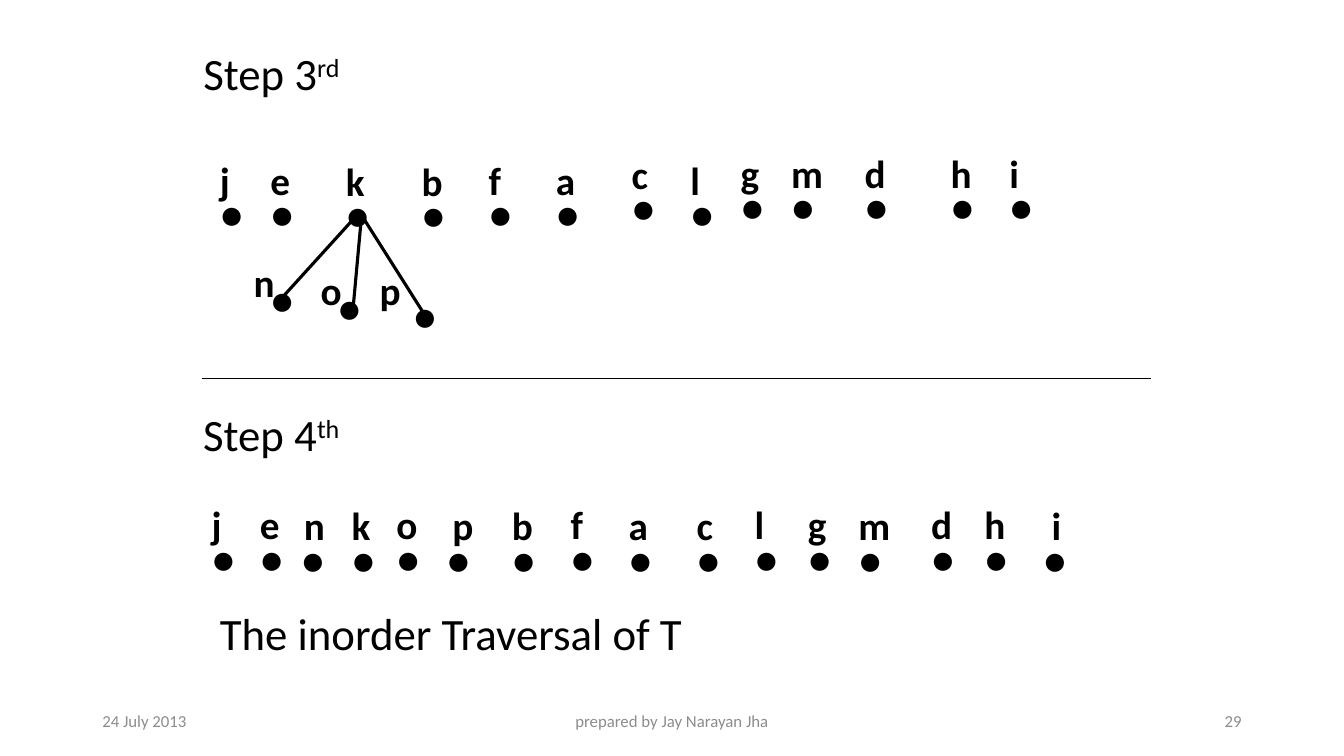
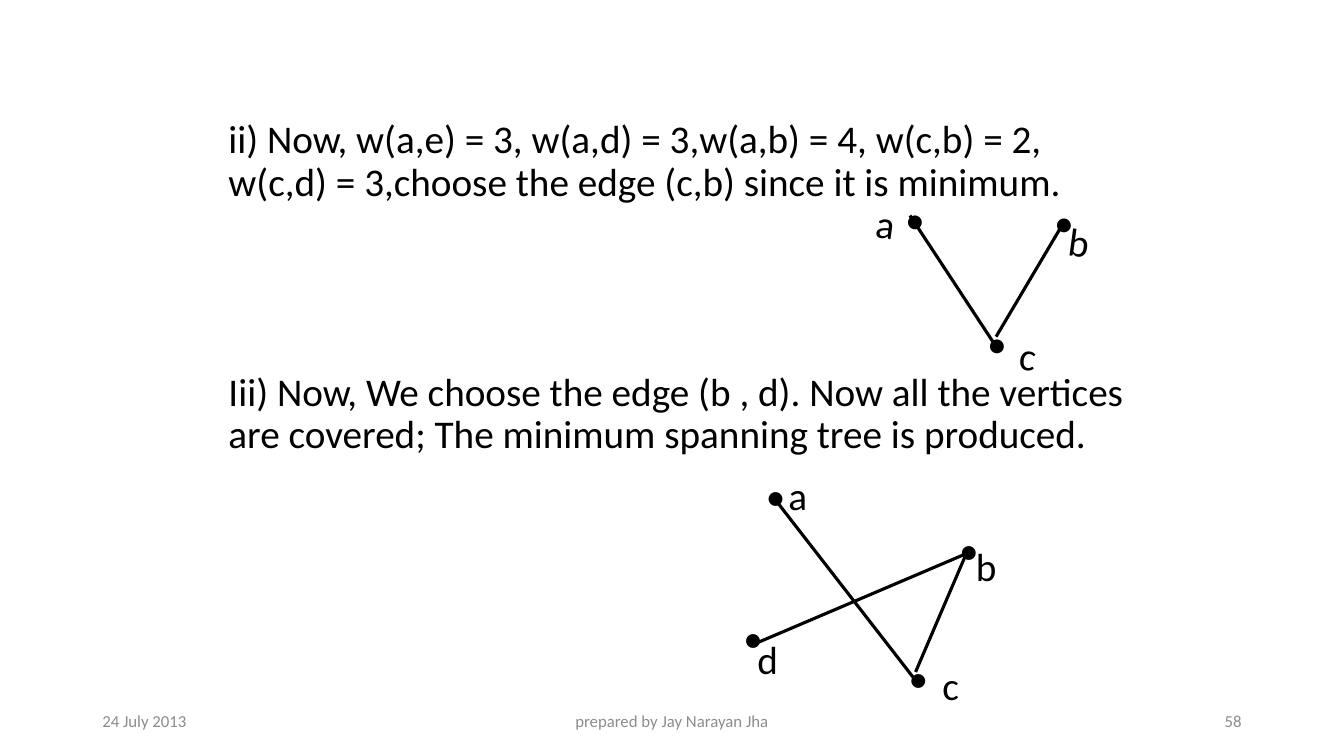
from lxml import etree
from pptx import Presentation
from pptx.dml.color import RGBColor
from pptx.enum.shapes import MSO_CONNECTOR
from pptx.enum.text import MSO_ANCHOR, MSO_AUTO_SIZE, PP_ALIGN
from pptx.oxml.ns import qn
from pptx.util import Pt

STRAIGHT = MSO_CONNECTOR.STRAIGHT
TOP, MIDDLE = MSO_ANCHOR.TOP, MSO_ANCHOR.MIDDLE
LEFT, CENTER, RIGHT = PP_ALIGN.LEFT, PP_ALIGN.CENTER, PP_ALIGN.RIGHT

BLACK = RGBColor(0x00, 0x00, 0x00)
GREY = RGBColor(0x8C, 0x8C, 0x8C)
FONT = "Calibri"
HEADING_SIZE, TEXT_SIZE, FOOTER_SIZE = 32, 28, 12
TITLE_ONLY = 5

FOOTER_TOP, FOOTER_HEIGHT = 500.5, 29
MARK_HEIGHT = 41
DOT_DROP = 24  # from the top of a letter to the top of its dot

# Rows: letter, letter x, dot x, y
STEP_3_ROW = [
    ("j", 6, 6, 5), ("e", 42, 42, 5), ("k", 96, 96, 5.5), ("b", 150, 150, 5.5),
    ("f", 198, 198, 5), ("a", 246, 246, 5), ("c", 300, 300, 0.5),
    ("l", 342, 342, 5), ("g", 378, 378, 0), ("m", 414, 414, 0),
    ("d", 466.5, 466.5, 0), ("h", 528, 528, 0), ("i", 570, 570, 0),
]
STEP_4_ROW = [
    ("j", 0, 0, 0), ("e", 34.5, 34.5, 0), ("n", 66, 64, 0.5),
    ("k", 100, 100, 0.5), ("o", 132, 132, 0), ("p", 172, 168, 0.5),
    ("b", 214.5, 214.5, 0.5), ("f", 256.5, 256.5, 0), ("a", 298, 298, 0.5),
    ("c", 346.5, 346.5, 0.5), ("l", 388, 388, 0), ("g", 426, 426, 0),
    ("m", 462, 462, 0.5), ("d", 514, 514, 0), ("h", 552, 552, 0),
    ("i", 600, 594, 0.5),
]

# Graphs: letter, letter x and y, dot x and y; then edges as x1, y1, x2, y2
K_CHILDREN = [
    ("n", 30, 78, 42, 90), ("o", 78, 83.5, 90, 95.5), ("p", 120, 83.5, 144, 101.5),
]
K_EDGES = [(108, 54, 54, 113.5), (114, 54, 108, 119.5), (116, 53.5, 157.5, 119)]
PATH_VERTICES = [
    ("a", 0, 3.5, 21, 0), ("b", 137.5, 16, 127.5, 2), ("c", 102.5, 97.5, 79.5, 88),
]
PATH_EDGES = [(31, 18, 91.5, 110), (139, 26, 92.5, 104.5)]
TREE_VERTICES = [
    ("a", 32, 0, 16, 0), ("b", 166, 50.5, 154, 39),
    ("c", 142, 135.5, 118, 130), ("d", 10, 117.5, 0, 101.5),
]
TREE_EDGES = [(31, 25.5, 130, 153), (166, 63, 130, 147), (16, 126.5, 172, 60)]


def style(para, size, color=BLACK, bold=False, align=LEFT):
    para.alignment = align
    para.font.name = FONT
    para.font.size = Pt(size)
    para.font.bold = bold
    para.font.color.rgb = color


def add_text(slide, left, top, width, height, text, size, color=BLACK,
             bold=False, align=LEFT, anchor=TOP):
    box = slide.shapes.add_textbox(Pt(left), Pt(top), Pt(width), Pt(height))
    frame = box.text_frame
    frame.word_wrap = True
    frame.vertical_anchor = anchor
    frame.text = text
    style(frame.paragraphs[0], size, color, bold, align)
    return box


def add_line(slide, x1, y1, x2, y2, weight):
    line = slide.shapes.add_connector(STRAIGHT, Pt(x1), Pt(y1), Pt(x2), Pt(y2))
    line.line.color.rgb = BLACK
    line.line.width = Pt(weight)
    etree.SubElement(line._element.spPr, qn("a:effectLst"))


def add_graph(slide, left, top, vertices, edges=(), dot="•", width=30,
              bold=False, rotation=0):
    for x1, y1, x2, y2 in edges:
        add_line(slide, left + x1, top + y1, left + x2, top + y2, 2.25)
    for letter, letter_x, letter_y, dot_x, dot_y in vertices:
        for text, x, y, heavy in ((dot, dot_x, dot_y, False),
                                  (letter, letter_x, letter_y, bold)):
            mark = add_text(slide, left + x, top + y, width, MARK_HEIGHT,
                            text, TEXT_SIZE, bold=heavy)
            mark.rotation = rotation


def add_bold_graph(slide, left, top, vertices, edges=()):
    add_graph(slide, left, top, vertices, edges, dot="●", width=40, bold=True)


def add_row(slide, left, top, row):
    """Place letters in a line, each with a dot below it."""
    vertices = [(letter, letter_x, y, dot_x, y + DOT_DROP)
                for letter, letter_x, dot_x, y in row]
    add_bold_graph(slide, left, top, vertices)


def place_title(slide, left, top, width, height, anchor):
    title = slide.shapes.title
    title.left, title.top = Pt(left), Pt(top)
    title.width, title.height = Pt(width), Pt(height)
    frame = title.text_frame
    frame.word_wrap = True
    frame.auto_size = MSO_AUTO_SIZE.NONE
    frame.vertical_anchor = anchor
    return frame


def write_step(para, number, ending):
    """Write a step heading with its ordinal ending raised."""
    para.add_run().text = f"Step {number}"
    span = para.add_run()
    span.text = ending
    span._r.get_or_add_rPr().set("baseline", "30000")
    style(para, HEADING_SIZE)


def add_footer(slide, number):
    for left, width, text, align in (
        (66, 216, "24 July 2013", LEFT),
        (318, 324, "prepared by Jay Narayan Jha", CENTER),
        (678, 216, str(number), RIGHT),
    ):
        add_text(slide, left, FOOTER_TOP, width, FOOTER_HEIGHT, text,
                 FOOTER_SIZE, GREY, align=align, anchor=MIDDLE)


def new_slide(deck, number):
    slide = deck.slides.add_slide(deck.slide_layouts[TITLE_ONLY])
    add_footer(slide, number)
    return slide


def build_traversal_slide(deck):
    slide = new_slide(deck, 29)
    heading = place_title(slide, 138, 24, 240, 56, MIDDLE)
    write_step(heading.paragraphs[0], 3, "rd")
    add_row(slide, 144, 103, STEP_3_ROW)
    add_bold_graph(slide, 144, 103, K_CHILDREN, K_EDGES)

    add_line(slide, 144, 270, 822, 270, 0.5)

    heading = add_text(slide, 138, 282, 240, 56, "", HEADING_SIZE, anchor=MIDDLE)
    write_step(heading.text_frame.paragraphs[0], 4, "th")
    add_row(slide, 144, 354, STEP_4_ROW)
    add_text(slide, 150, 423.5, 360, 56, "The inorder Traversal of T",
             HEADING_SIZE, anchor=MIDDLE)


def build_spanning_tree_slide(deck):
    slide = new_slide(deck, 58)
    frame = place_title(slide, 156, 82, 660, 260, TOP)
    frame.text = (
        "ii) Now, w(a,e) = 3, w(a,d) = 3,w(a,b) = 4, w(c,b) = 2,\v"
        "w(c,d) = 3,choose the edge (c,b) since it is minimum.\n"
        "Iii) Now, We choose the edge (b , d). Now all the vertices "
        "are covered; The minimum spanning tree is produced."
    )
    for para, gap in zip(frame.paragraphs, (0, 120)):
        para.line_spacing = 0.9
        para.space_before = Pt(gap)
        style(para, TEXT_SIZE)
    add_graph(slide, 619, 136, PATH_VERTICES, PATH_EDGES, rotation=7.7)
    add_graph(slide, 524, 333, TREE_VERTICES, TREE_EDGES)


def main():
    deck = Presentation()
    deck.slide_width, deck.slide_height = Pt(960), Pt(540)
    build_traversal_slide(deck)
    build_spanning_tree_slide(deck)
    deck.save("out.pptx")


if __name__ == "__main__":
    main()
